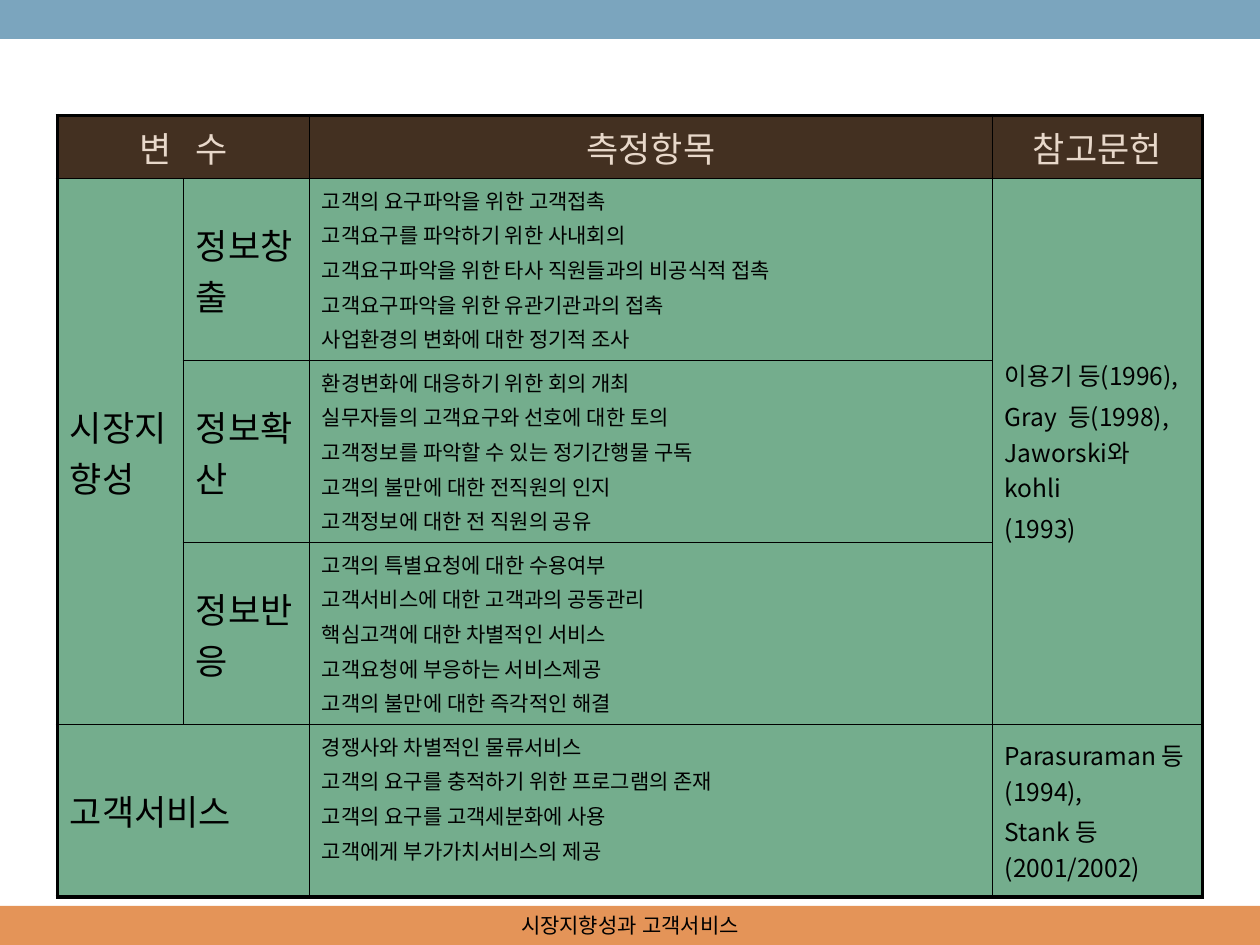
from lxml import etree
from pptx import Presentation
from pptx.dml.color import RGBColor
from pptx.enum.shapes import MSO_SHAPE
from pptx.enum.text import MSO_ANCHOR, PP_ALIGN
from pptx.oxml.ns import qn
from pptx.util import Pt

RECTANGLE = MSO_SHAPE.RECTANGLE
TOP, MIDDLE = MSO_ANCHOR.TOP, MSO_ANCHOR.MIDDLE
LEFT, CENTER = PP_ALIGN.LEFT, PP_ALIGN.CENTER

BLACK = RGBColor(0x00, 0x00, 0x00)
BLUE = RGBColor(0x7B, 0xA5, 0xBE)
ORANGE = RGBColor(0xE4, 0x94, 0x58)
BROWN = RGBColor(0x43, 0x30, 0x21)
CREAM = RGBColor(0xE8, 0xD8, 0xCA)
GREEN = RGBColor(0x74, 0xAD, 0x8D)
SANS, SERIF = "Noto Sans CJK KR", "Noto Serif"

WIDTH, HEIGHT, BAND = 720, 540, 22.32
FOOTER = "시장지향성과 고객서비스"
COLUMNS = (72, 72, 390.24, 120.24)
ROWS = (36, 104, 104, 104, 98.64)
HEADERS = {0: "변   수", 2: "측정항목", 3: "참고문헌"}
VARIABLES = {(1, 0): "시장지향성", (1, 1): "정보창출", (2, 1): "정보확산",
             (3, 1): "정보반응", (4, 0): "고객서비스"}
ITEMS = [
    ["고객의 요구파악을 위한 고객접촉",
     "고객요구를 파악하기 위한 사내회의",
     "고객요구파악을 위한 타사 직원들과의 비공식적 접촉",
     "고객요구파악을 위한 유관기관과의 접촉",
     "사업환경의 변화에 대한 정기적 조사"],
    ["환경변화에 대응하기 위한 회의 개최",
     "실무자들의 고객요구와 선호에 대한 토의",
     "고객정보를 파악할 수 있는 정기간행물 구독",
     "고객의 불만에 대한 전직원의 인지",
     "고객정보에 대한 전 직원의 공유"],
    ["고객의 특별요청에 대한 수용여부",
     "고객서비스에 대한 고객과의 공동관리",
     "핵심고객에 대한 차별적인 서비스",
     "고객요청에 부응하는 서비스제공",
     "고객의 불만에 대한 즉각적인 해결"],
    ["경쟁사와 차별적인 물류서비스",
     "고객의 요구를 충적하기 위한 프로그램의 존재",
     "고객의 요구를 고객세분화에 사용",
     "고객에게 부가가치서비스의 제공"],
]
REFERENCES = {
    1: ["이용기 등(1996),", "Gray  등(1998), Jaworski와 kohli", "(1993)"],
    4: ["Parasuraman 등(1994),", "Stank 등(2001/2002)"],
}
MERGES = [((0, 0), (0, 1)), ((1, 0), (3, 0)), ((1, 3), (3, 3)), ((4, 0), (4, 1))]


def write(frame, lines, size, color, latin, asian, align=LEFT, space_percent=0):
    for index, line in enumerate(lines):
        paragraph = frame.add_paragraph() if index else frame.paragraphs[0]
        paragraph.alignment = align
        if space_percent:
            before = etree.SubElement(paragraph._p.get_or_add_pPr(), qn("a:spcBef"))
            etree.SubElement(before, qn("a:spcPct"), val=str(space_percent * 1000))
        run = paragraph.add_run()
        run.text = line
        run.font.size = Pt(size)
        run.font.color.rgb = color
        run.font.name = latin
        etree.SubElement(run._r.get_or_add_rPr(), qn("a:ea"), typeface=asian)


def border(cell, row, column):
    outer = {"L": column == 0, "R": column == len(COLUMNS) - 1,
             "T": row == 0, "B": row == len(ROWS) - 1}
    for side, thick in outer.items():
        edge = etree.SubElement(cell._tc.get_or_add_tcPr(), qn("a:ln" + side),
                                w=str(Pt(2.25 if thick else 1)))
        fill = etree.SubElement(edge, qn("a:solidFill"))
        etree.SubElement(fill, qn("a:srgbClr"), val=str(BLACK))


def fill_cell(row, column, lines, size, anchor=MIDDLE, color=BLACK, align=LEFT, latin=SANS):
    cell = table.cell(row, column)
    cell.vertical_anchor = anchor
    write(cell.text_frame, lines, size, color, latin, SANS, align, 20)


deck = Presentation()
deck.slide_width, deck.slide_height = Pt(WIDTH), Pt(HEIGHT)
slide = deck.slides.add_slide(deck.slide_layouts[6])

for top, color in ((HEIGHT - BAND, ORANGE), (0, BLUE)):
    band = slide.shapes.add_shape(RECTANGLE, 0, Pt(top), Pt(WIDTH), Pt(BAND))
    band.shadow.inherit = False
    band.fill.solid()
    band.fill.fore_color.rgb = color
    band.line.fill.background()

footer = slide.shapes.add_textbox(Pt(246), Pt(HEIGHT - BAND), Pt(228), Pt(BAND)).text_frame
footer.word_wrap = True
footer.vertical_anchor = MIDDLE
write(footer, [FOOTER], 12, BLACK, SERIF, SERIF, CENTER)

table = slide.shapes.add_table(len(ROWS), len(COLUMNS), Pt(32.8), Pt(66),
                               Pt(sum(COLUMNS)), Pt(sum(ROWS))).table
for column, width in enumerate(COLUMNS):
    table.columns[column].width = Pt(width)
for row, height in enumerate(ROWS):
    table.rows[row].height = Pt(height)
    for column in range(len(COLUMNS)):
        cell = table.cell(row, column)
        border(cell, row, column)
        cell.fill.solid()
        cell.fill.fore_color.rgb = GREEN if row else BROWN
for first, last in MERGES:
    table.cell(*first).merge(table.cell(*last))

for column, header in HEADERS.items():
    fill_cell(0, column, [header], 20, TOP, CREAM, CENTER, SERIF)
for (row, column), variable in VARIABLES.items():
    fill_cell(row, column, [variable], 20)
for row, items in enumerate(ITEMS, 1):
    fill_cell(row, 2, items, 12, TOP, latin=SERIF)
for row, references in REFERENCES.items():
    fill_cell(row, 3, references, 14)

deck.save("out.pptx")
